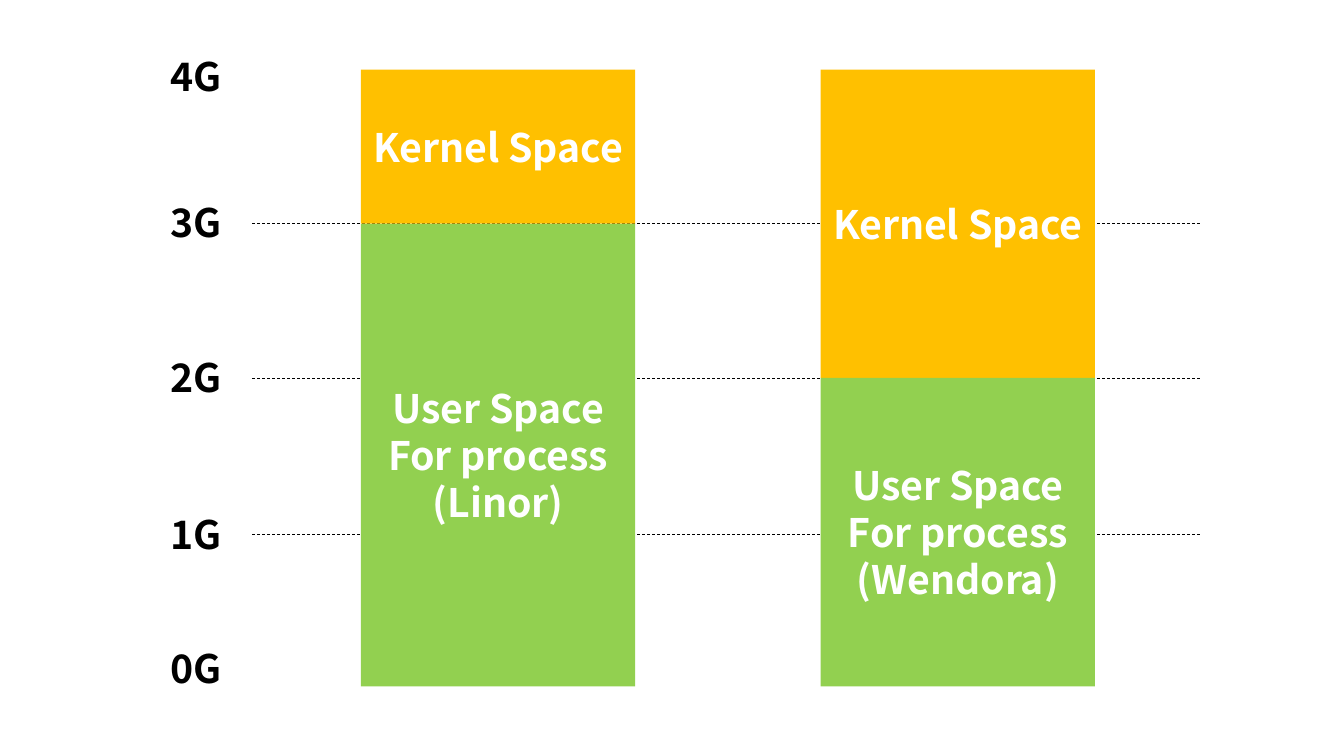
from dataclasses import dataclass

import pptx
import pptx.dml.color
import pptx.enum.dml
import pptx.enum.shapes
import pptx.enum.text
import pptx.oxml.ns
import pptx.util
from lxml import etree
from pptx.util import Inches

COLORS = {"kernel": "FFC000", "user": "92D050", "on_block": "FFFFFF", "ink": "000000"}
FONT = "Noto Sans CJK KR"
MEMORY_TOP, GIGABYTE, TOTAL = 0.69, 1.53, 4
BLOCK_WIDTH = 2.72


@dataclass
class Level:
    name: str
    label_top: float
    line_y: float | None = None


@dataclass
class Block:
    lines: list[str]
    color: str
    gigabytes: int


@dataclass
class Layout:
    left: float
    blocks: list[Block]


def rgb(name: str) -> pptx.dml.color.RGBColor:
    return pptx.dml.color.RGBColor.from_string(COLORS[name])


def write(frame, lines: list[str], color: str, align=None) -> None:
    frame.text = "\n".join(lines)
    for paragraph in frame.paragraphs:
        paragraph.alignment = align
        font = paragraph.font
        font.name, font.size, font.bold = FONT, pptx.util.Pt(28), True
        font.color.rgb = rgb(color)


def draw_line(slide, y: float) -> None:
    line = slide.shapes.add_connector(
        pptx.enum.shapes.MSO_CONNECTOR.STRAIGHT,
        Inches(2.5), Inches(y), Inches(11.92), Inches(y))
    line.line.color.rgb = rgb("ink")
    line.line.width = pptx.util.Pt(0.5)
    line.line.dash_style = pptx.enum.dml.MSO_LINE.DASH
    properties = line._element.spPr
    etree.SubElement(properties, pptx.oxml.ns.qn("a:effectLst"))


def draw_label(slide, level: Level) -> None:
    label = slide.shapes.add_textbox(
        Inches(1.59), Inches(level.label_top), Inches(0.75), Inches(0.57))
    label.text_frame.word_wrap = True
    write(label.text_frame, [level.name], "ink")


def draw_layout(slide, layout: Layout) -> None:
    top = MEMORY_TOP
    for block in layout.blocks:
        height = block.gigabytes * GIGABYTE
        area = slide.shapes.add_shape(
            pptx.enum.shapes.MSO_SHAPE.RECTANGLE,
            Inches(layout.left), Inches(top), Inches(BLOCK_WIDTH), Inches(height))
        area.shadow.inherit = False
        area.fill.solid()
        area.fill.fore_color.rgb = rgb(block.color)
        area.line.fill.background()
        area.text_frame.vertical_anchor = pptx.enum.text.MSO_ANCHOR.MIDDLE
        write(area.text_frame, block.lines, "on_block", pptx.enum.text.PP_ALIGN.CENTER)
        top += height


def memory_layout(left: float, system: str, kernel_size: int) -> Layout:
    return Layout(left, [
        Block(["Kernel Space"], "kernel", kernel_size),
        Block(["User Space", "For process", f"({system})"], "user", TOTAL - kernel_size),
    ])


LEVELS = [
    Level("4G", 0.47),
    Level("3G", 1.92, 2.22),
    Level("2G", 3.46, 3.75),
    Level("1G", 5.01, 5.3),
    Level("0G", 6.34),
]
LAYOUTS = [memory_layout(3.58, "Linor", 1), memory_layout(8.14, "Wendora", 2)]

presentation = pptx.Presentation()
presentation.slide_width, presentation.slide_height = Inches(13.33), Inches(7.5)
slide = presentation.slides.add_slide(presentation.slide_layouts[6])

# Dashed gigabyte lines run behind the blocks
for level in LEVELS:
    if level.line_y is not None:
        draw_line(slide, level.line_y)

# Address space of each system
for layout in LAYOUTS:
    draw_layout(slide, layout)

# Address scale
for level in LEVELS:
    draw_label(slide, level)

presentation.save("out.pptx")
